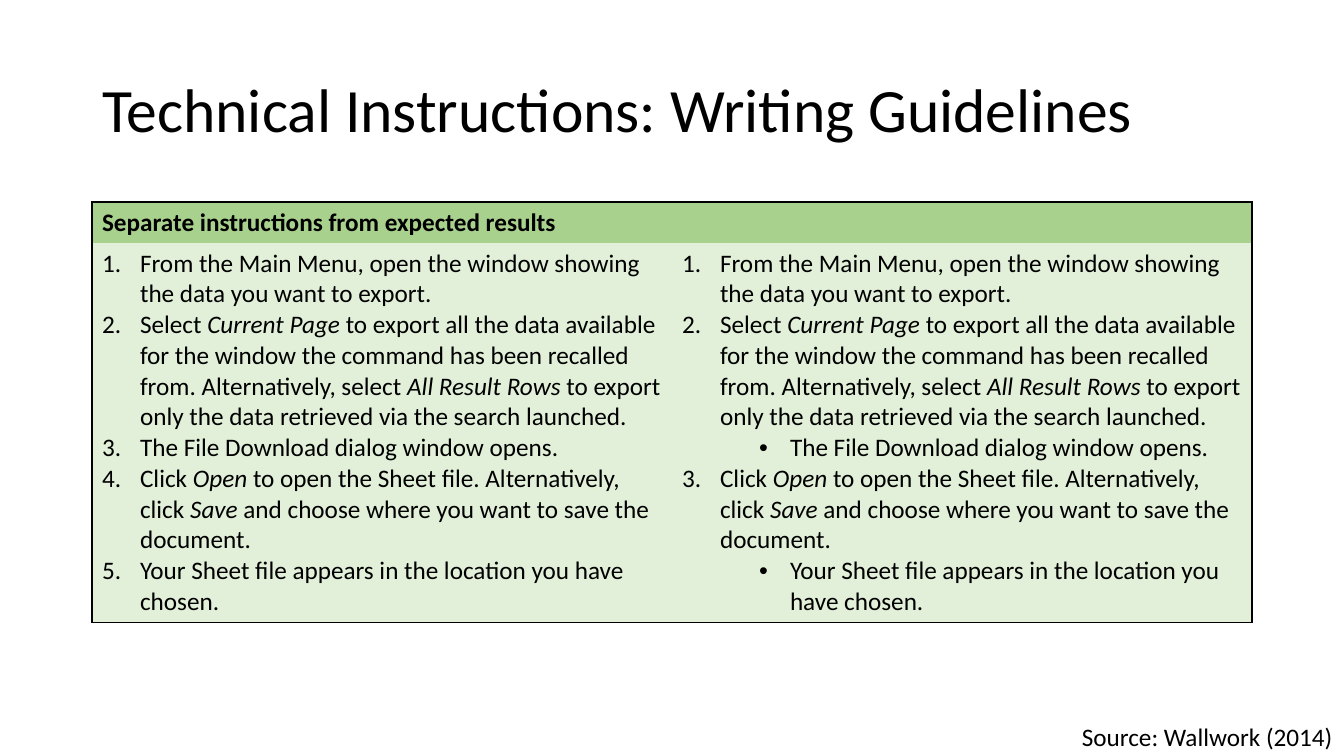
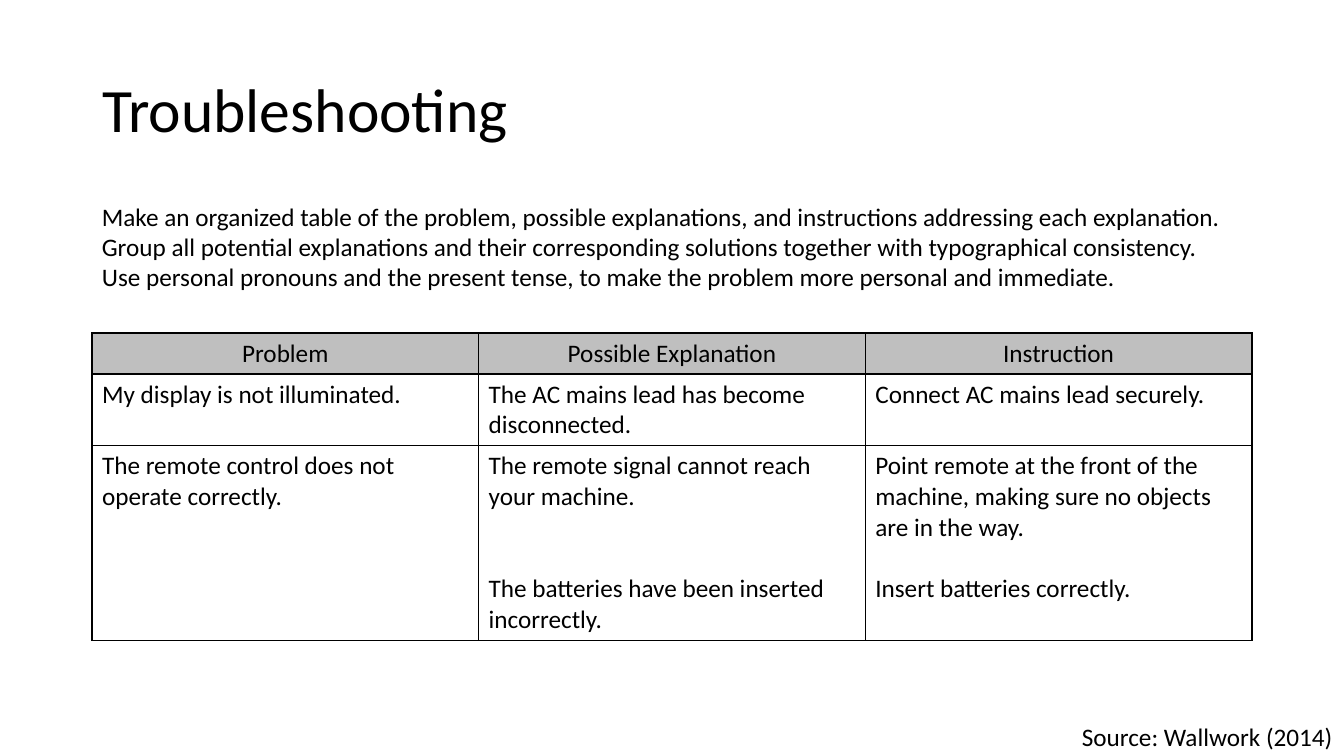
from dataclasses import dataclass

from lxml import etree
from pptx import Presentation
from pptx.dml.color import RGBColor
from pptx.enum.text import MSO_ANCHOR, MSO_AUTO_SIZE, PP_ALIGN
from pptx.oxml.ns import qn
from pptx.util import Pt

LEFT, CENTER = PP_ALIGN.LEFT, PP_ALIGN.CENTER
MIDDLE = MSO_ANCHOR.MIDDLE
FIXED, GROW = MSO_AUTO_SIZE.NONE, MSO_AUTO_SIZE.SHAPE_TO_FIT_TEXT
TITLE_ONLY = 5
EMU_PER_PX = 914400 / 100.8
FONT = "Calibri"
TITLE_SIZE, BODY_SIZE, LINE_HEIGHT = 44, 18, 22
MARGIN, CONTENT_WIDTH, HEADER_HEIGHT = 92, 1160, 41
COLORS = {
    "ink": "000000",
    "paper": "FFFFFF",
    "green": "A9D18E",
    "pale_green": "E2F0D9",
    "gray": "BFBFBF",
}


def px(length):
    return round(length * EMU_PER_PX)


def color(name):
    return RGBColor.from_string(COLORS[name])


@dataclass
class Line:
    text: str
    marker: str = ""
    start: int = 1
    gap: int = 0
    align: PP_ALIGN = LEFT
    bold: bool = False


class Deck:
    def __init__(self):
        self.deck = Presentation()
        self.deck.slide_width, self.deck.slide_height = px(1344), px(756)
        self.page = None

    def add_page(self, title):
        self.page = self.deck.slides.add_slide(self.deck.slide_layouts[TITLE_ONLY])
        box = self.page.shapes.title
        box.left, box.top = px(MARGIN), px(40)
        box.width, box.height = px(CONTENT_WIDTH), px(146)
        frame = box.text_frame
        frame.auto_size, frame.vertical_anchor = FIXED, MIDDLE
        self.set_lines(frame, [Line(title)], TITLE_SIZE)
        frame.paragraphs[0].line_spacing = 0.9

    def set_lines(self, frame, lines, size=BODY_SIZE):
        for index, line in enumerate(lines):
            para = frame.add_paragraph() if index else frame.paragraphs[0]
            self.mark(para, line)
            para.alignment = line.align
            if line.gap:
                para.space_before = Pt(line.gap)
            for order, text in enumerate(line.text.split("_")):
                span = para.add_run()
                span.text = text
                font = span.font
                font.name, font.size = FONT, Pt(size)
                font.bold, font.italic = line.bold, order % 2 == 1
                font.color.rgb = color("ink")

    def mark(self, para, line):
        if not line.marker:
            return
        numbered = line.marker == "number"
        margin, indent = (38, -38) if numbered else (108, -31)
        properties = para._p.get_or_add_pPr()
        properties.set("marL", str(px(margin)))
        properties.set("indent", str(px(indent)))
        if numbered:
            number = etree.SubElement(properties, qn("a:buAutoNum"), type="arabicPeriod")
            if line.start > 1:
                number.set("startAt", str(line.start))
        else:
            etree.SubElement(properties, qn("a:buFont"), typeface="Arial")
            etree.SubElement(properties, qn("a:buChar"), char="•")

    def add_text(self, left, top, width, height, lines):
        box = self.page.shapes.add_textbox(px(left), px(top), px(width), px(height))
        box.text_frame.word_wrap = True
        box.text_frame.auto_size = GROW
        self.set_lines(box.text_frame, lines)

    def add_source(self):
        self.add_text(1072, 716, 272, 40, [Line("Source: Wallwork (2014)")])

    def add_table(self, top, heights, columns):
        frame = self.page.shapes.add_table(
            len(heights), columns, px(MARGIN), px(top), px(CONTENT_WIDTH), px(sum(heights)))
        table = frame.table
        table.first_row = table.horz_banding = False
        for row, height in zip(table.rows, heights):
            row.height = px(height)
        return table

    def fill_cell(self, cell, lines, fill, edges="LRTB"):
        properties = cell._tc.get_or_add_tcPr()
        for side in "LRTB":
            border = etree.SubElement(properties, qn(f"a:ln{side}"), w=str(Pt(1)))
            if side in edges:
                solid = etree.SubElement(border, qn("a:solidFill"))
                etree.SubElement(solid, qn("a:srgbClr"), val=COLORS["ink"])
            else:
                etree.SubElement(border, qn("a:noFill"))
        cell.fill.solid()
        cell.fill.fore_color.rgb = color(fill)
        self.set_lines(cell.text_frame, lines)


EXPORT_STEPS = [
    "From the Main Menu, open the window showing the data you want to export.",
    "Select _Current Page _to export all the data available for the window the command "
    "has been recalled from. Alternatively, select _All Result Rows _to export only the "
    "data retrieved via the search launched.",
    "The File Download dialog window opens.",
    "Click _Open _to open the Sheet file. Alternatively, click _Save _and choose where "
    "you want to save the document.",
    "Your Sheet file appears in the location you have chosen.",
]
EXPECTED_RESULTS = (2, 4)

PROBLEMS = [
    [["My display is not illuminated."],
     ["The AC mains lead has become disconnected."],
     ["Connect AC mains lead securely."]],
    [["The remote control does not operate correctly."],
     ["The remote signal cannot reach your machine.",
      "The batteries have been inserted incorrectly."],
     ["Point remote at the front of the machine, making sure no objects are in the way.",
      "Insert batteries correctly."]],
]
BLANK_LINES = (0, 2, 1)


def build_guidelines(deck):
    deck.add_page("Technical Instructions: Writing Guidelines")
    table = deck.add_table(202, [HEADER_HEIGHT, 379], 2)
    heading = table.cell(0, 0)
    heading.merge(table.cell(0, 1))
    deck.fill_cell(heading, [Line("Separate instructions from expected results", bold=True)],
                   "green", "LRT")
    deck.fill_cell(table.cell(0, 1), [], "green", "RT")

    mixed = [Line(text, "number") for text in EXPORT_STEPS]
    separated = []
    for index, text in enumerate(EXPORT_STEPS):
        if index in EXPECTED_RESULTS:
            separated.append(Line(text, "bullet"))
        else:
            start = 3 if index == 3 else 1
            separated.append(Line(text, "number", start))
    deck.fill_cell(table.cell(1, 0), mixed, "pale_green", "LB")
    deck.fill_cell(table.cell(1, 1), separated, "pale_green", "RB")
    deck.add_source()


def build_troubleshooting(deck):
    deck.add_page("Troubleshooting")
    table = deck.add_table(333, [HEADER_HEIGHT, 71, 195], 3)
    for column, text in enumerate(["Problem", "Possible Explanation", "Instruction"]):
        deck.fill_cell(table.cell(0, column), [Line(text, align=CENTER)], "gray")
    for row, entries in enumerate(PROBLEMS, 1):
        for column, texts in enumerate(entries):
            gap = BLANK_LINES[column] * LINE_HEIGHT
            lines = [Line(text, gap=gap if index else 0) for index, text in enumerate(texts)]
            deck.fill_cell(table.cell(row, column), lines, "paper")
    deck.add_text(MARGIN, 196, CONTENT_WIDTH, 102, [
        Line("Make an organized table of the problem, possible explanations, and "
             "instructions addressing each explanation."),
        Line("Group all potential explanations and their corresponding solutions together "
             "with typographical consistency."),
        Line("Use personal pronouns and the present tense, to make the problem more "
             "personal and immediate."),
    ])
    deck.add_source()


def main():
    deck = Deck()
    build_guidelines(deck)
    build_troubleshooting(deck)
    deck.deck.save("out.pptx")


if __name__ == "__main__":
    main()
